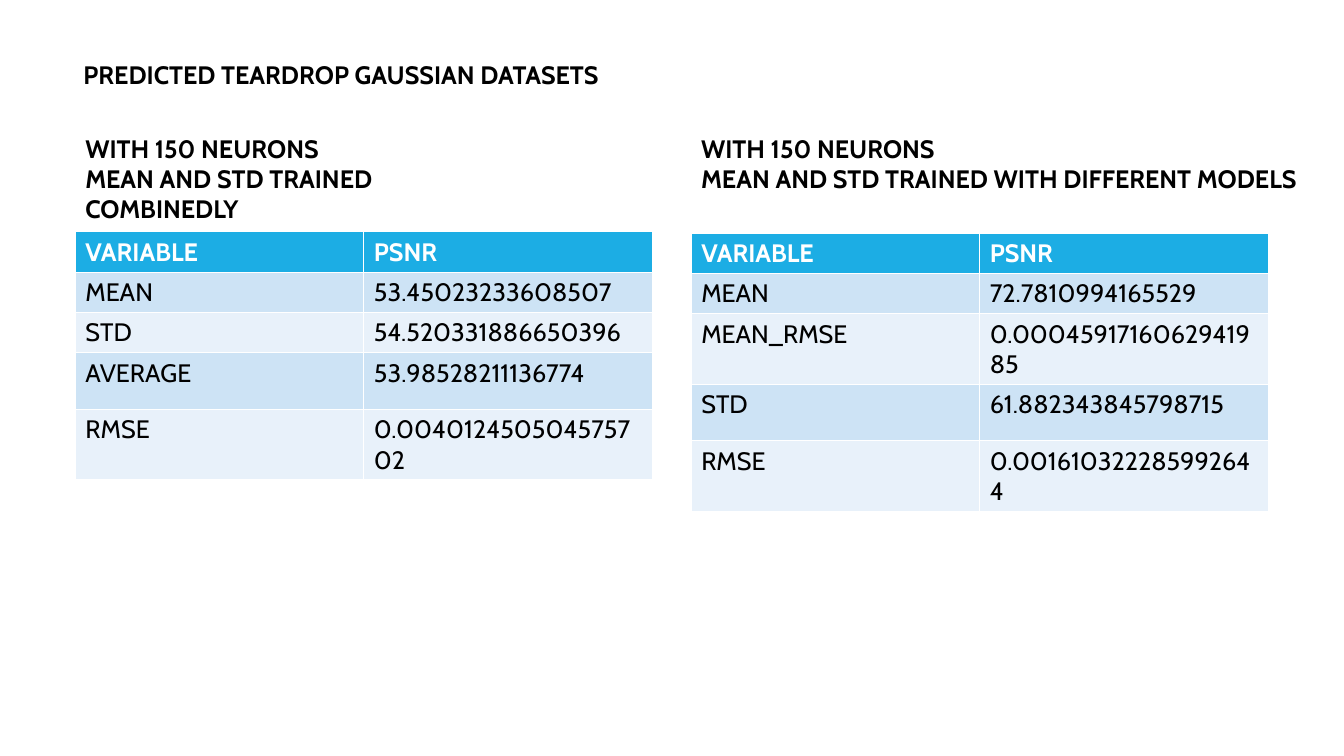
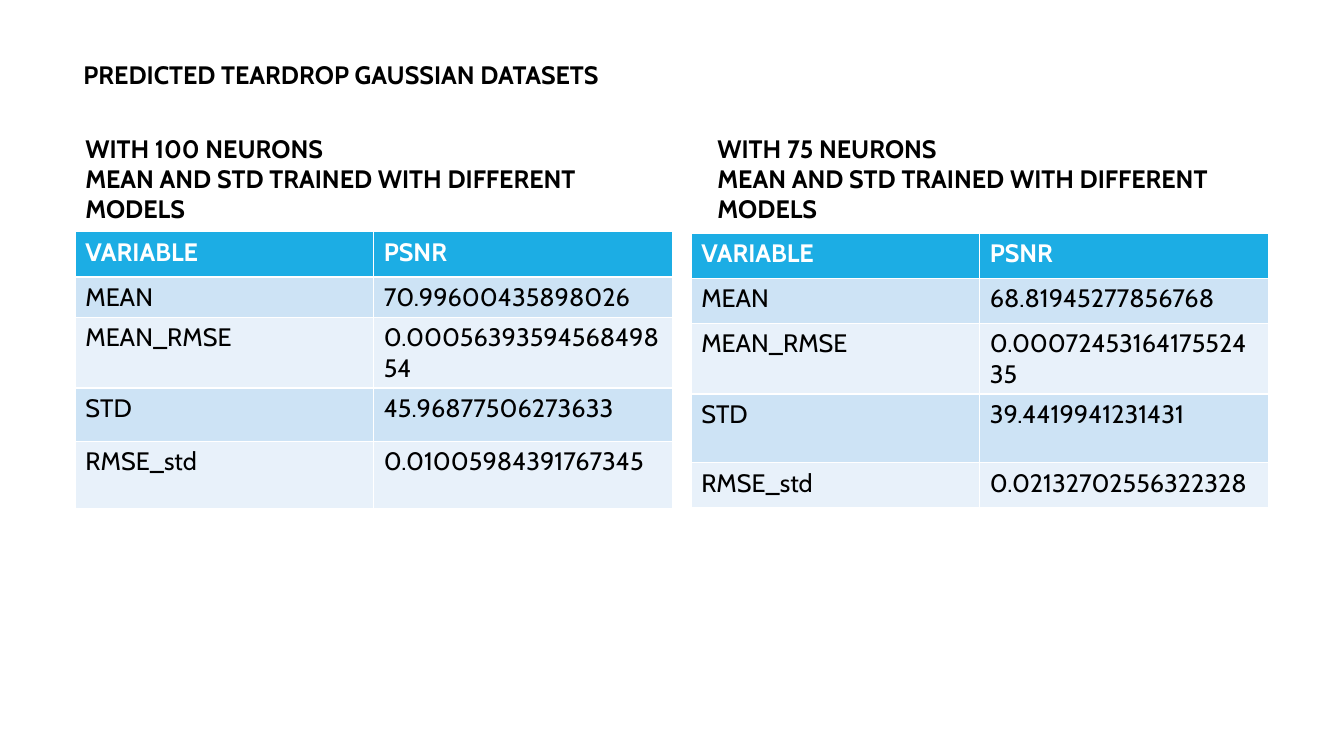
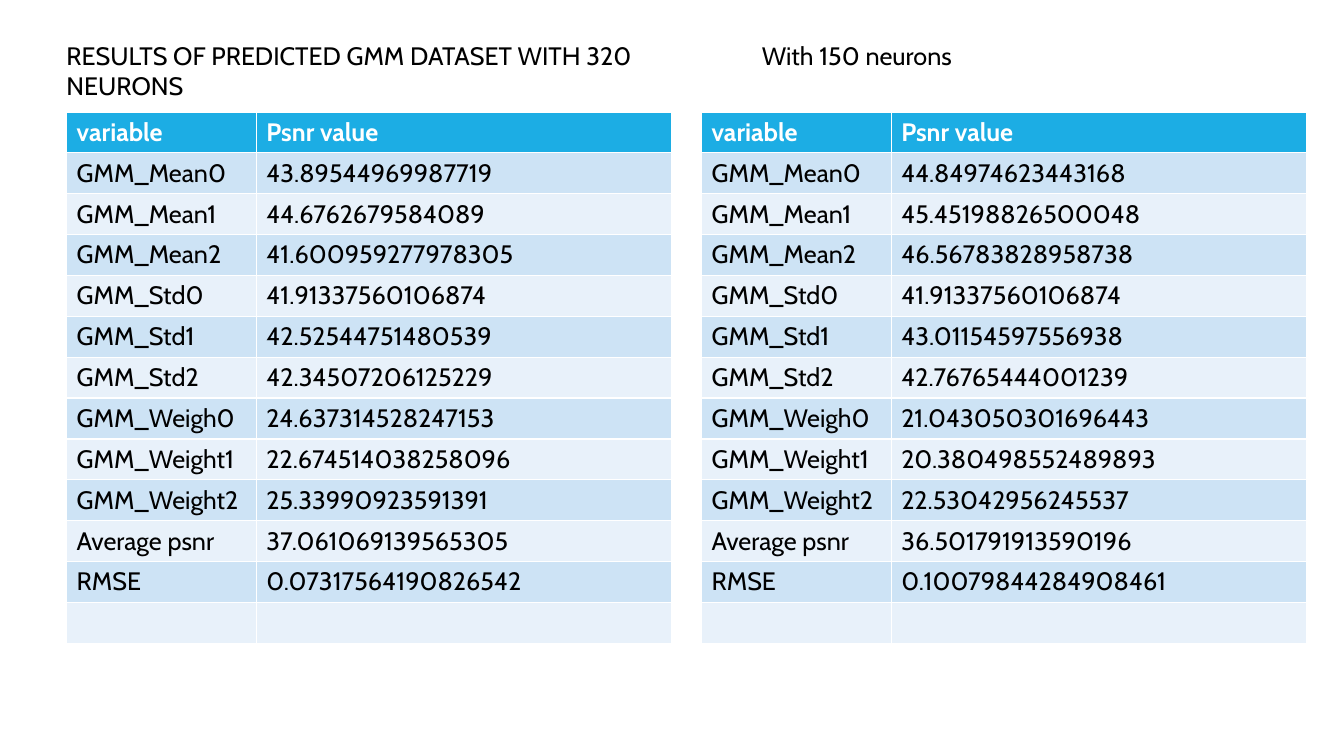
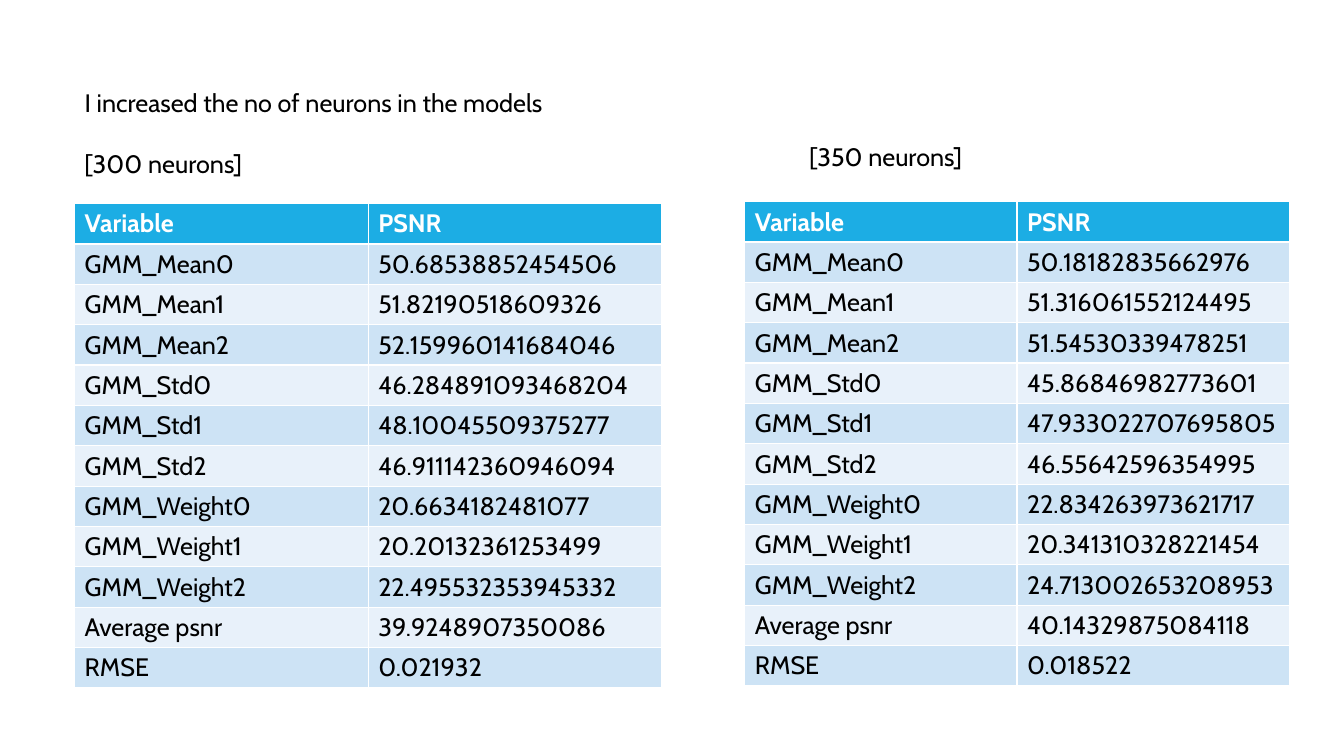
from dataclasses import dataclass

from pptx import Presentation
from pptx.dml.color import RGBColor
from pptx.enum.text import MSO_ANCHOR, MSO_AUTO_SIZE, PP_ALIGN
from pptx.util import Cm, Pt

TOP, LEFT, FIXED = MSO_ANCHOR.TOP, PP_ALIGN.LEFT, MSO_AUTO_SIZE.NONE


@dataclass(frozen=True)
class Theme:
    font: str = "Cabin"
    size: int = 18
    ink: str = "000000"
    white: str = "FFFFFF"
    head: str = "1CADE4"
    bands: tuple = ("CDE3F5", "E8F1FA")


THEME = Theme()

# Content: lengths in cm, boxes as left, top, width
TEAR = "PREDICTED TEARDROP GAUSSIAN DATASETS"
TEAR_BOX = (1.85, 1.37, 16.6)
SPLIT = "MEAN AND STD TRAINED WITH DIFFERENT MODELS"
UPPER = ("VARIABLE", "PSNR")
LOWER = ("variable", "Psnr value")
MIXED = ("Variable", "PSNR")
MEANS = ["MEAN", "MEAN_RMSE", "STD"]
STATS = [f"GMM_{kind}{n}" for kind in ("Mean", "Std", "Weight") for n in range(3)]
STATS += ["Average psnr", "RMSE"]
TYPOS = [name.replace("Weight0", "Weigh0") for name in STATS] + [""]

SLIDES = [
    dict(title=TEAR, box=TEAR_BOX, bold=True, parts=[
        dict(note=["WITH 150 NEURONS", "MEAN AND STD TRAINED COMBINEDLY"],
             box=(1.9, 3.23, 11.2), at=(1.9, 5.84), cols=(7.27, 7.27),
             rows=(0.86, 0.86, 0.86, 1.42, 0.86), head=UPPER,
             names=["MEAN", "STD", "AVERAGE", "RMSE"],
             values=["53.45023233608507", "54.520331886650396",
                     "53.98528211136774", "0.004012450504575702"]),
        dict(note=["WITH 150 NEURONS", SPLIT],
             box=(17.42, 3.23, 15.7), at=(17.42, 5.87), cols=(7.27, 7.27),
             rows=(0.86, 0.86, 0.86, 1.42, 0.86), head=UPPER,
             names=MEANS + ["RMSE"],
             values=["72.7810994165529", "0.0004591716062941985",
                     "61.882343845798715", "0.001610322285992644"]),
    ]),
    dict(title=TEAR, box=TEAR_BOX, bold=True, parts=[
        dict(note=["WITH 100 NEURONS", SPLIT],
             box=(1.9, 3.23, 14.9), at=(1.9, 5.84), cols=(7.52, 7.52),
             rows=(1.14, 0.97, 0.97, 1.35, 1.68), head=UPPER,
             names=MEANS + ["RMSE_std"],
             values=["70.99600435898026", "0.0005639359456849854",
                     "45.96877506273633", "0.01005984391767345"]),
        dict(note=["WITH 75 NEURONS", SPLIT],
             box=(17.83, 3.23, 14.55), at=(17.42, 5.87), cols=(7.27, 7.27),
             rows=(1.14, 1.14, 1.14, 1.73, 1.14), head=UPPER,
             names=MEANS + ["RMSE_std"],
             values=["68.81945277856768", "0.0007245316417552435",
                     "39.4419941231431", "0.02132702556322328"]),
    ]),
    dict(title="RESULTS OF PREDICTED GMM DATASET WITH 320 NEURONS",
         box=(1.42, 0.89, 17.12), bold=False, parts=[
        dict(at=(1.68, 2.82), cols=(4.78, 10.46), rows=(1.03,) * 13,
             head=LOWER, names=TYPOS,
             values=["43.89544969987719", "44.6762679584089",
                     "41.600959277978305", "41.91337560106874",
                     "42.52544751480539", "42.34507206125229",
                     "24.637314528247153", "22.674514038258096",
                     "25.33990923591391", "37.061069139565305",
                     "0.07317564190826542", ""]),
        dict(note=["With 150 neurons"], box=(18.95, 0.89, 10.6),
             at=(17.68, 2.82), cols=(4.78, 10.46), rows=(1.03,) * 13,
             head=LOWER, names=TYPOS,
             values=["44.84974623443168", "45.45198826500048",
                     "46.56783828958738", "41.91337560106874",
                     "43.01154597556938", "42.76765444001239",
                     "21.043050301696443", "20.380498552489893",
                     "22.53042956245537", "36.501791913590196",
                     "0.10079844284908461", ""]),
    ]),
    dict(title="I increased the no of neurons in the models",
         box=(1.88, 2.08, 26.6), bold=False, parts=[
        dict(note=["[300 neurons]"], box=(1.88, 3.61, 16.4),
             at=(1.88, 5.13), cols=(7.4, 7.4), rows=(0.95,) * 12,
             head=MIXED, names=STATS,
             values=["50.68538852454506", "51.82190518609326",
                     "52.159960141684046", "46.284891093468204",
                     "48.10045509375277", "46.911142360946094",
                     "20.6634182481077", "20.20132361253499",
                     "22.495532353945332", "39.9248907350086", "0.021932"]),
        dict(note=["[350 neurons]"], box=(20.14, 3.43, 11.28),
             at=(18.77, 5.08), cols=(6.86, 6.86), rows=(0.95,) * 12,
             head=MIXED, names=STATS,
             values=["50.18182835662976", "51.316061552124495",
                     "51.54530339478251", "45.86846982773601",
                     "47.933022707695805", "46.55642596354995",
                     "22.834263973621717", "20.341310328221454",
                     "24.713002653208953", "40.14329875084118", "0.018522"]),
    ]),
]


def write(frame, *lines, bold=False, color=THEME.ink):
    """Fill a text frame, one paragraph a line."""
    frame.word_wrap = True
    for i, line in enumerate(lines):
        para = frame.add_paragraph() if i else frame.paragraphs[0]
        para.alignment = LEFT
        run = para.add_run()
        run.text = line
        font = run.font
        font.name, font.size, font.bold = THEME.font, Pt(THEME.size), bold
        font.color.rgb = RGBColor.from_string(color)


def add_title(slide, text, box, bold):
    title = slide.shapes.title
    title.left, title.top, title.width = map(Cm, box)
    title.height = Cm(1.02)
    frame = title.text_frame
    frame.vertical_anchor, frame.auto_size = TOP, FIXED
    write(frame, text, bold=bold)


def add_note(slide, lines, box, bold):
    left, top, width = map(Cm, box)
    note = slide.shapes.add_textbox(left, top, width, Cm(0.25 + 0.77 * len(lines)))
    write(note.text_frame, *lines, bold=bold)


def add_grid(slide, part):
    cols, rows = part["cols"], part["rows"]
    left, top = map(Cm, part["at"])
    grid = slide.shapes.add_table(len(rows), len(cols), left, top,
                                  Cm(sum(cols)), Cm(sum(rows))).table
    for col, width in zip(grid.columns, cols):
        col.width = Cm(width)
    cells = [part["head"], *zip(part["names"], part["values"])]
    for r, (height, texts) in enumerate(zip(rows, cells)):
        grid.rows[r].height = Cm(height)
        first = r == 0
        fill = THEME.head if first else THEME.bands[(r - 1) % 2]
        for c, text in enumerate(texts):
            cell = grid.cell(r, c)
            cell.fill.solid()
            cell.fill.fore_color.rgb = RGBColor.from_string(fill)
            if text:
                write(cell.text_frame, text, bold=first,
                      color=THEME.white if first else THEME.ink)


def main():
    deck = Presentation()
    deck.slide_width, deck.slide_height = Cm(33.87), Cm(19.05)
    layout = deck.slide_layouts.get_by_name("Title Only")
    for data in SLIDES:
        slide = deck.slides.add_slide(layout)
        add_title(slide, data["title"], data["box"], data["bold"])
        for part in data["parts"]:
            if "note" in part:
                add_note(slide, part["note"], part["box"], data["bold"])
            add_grid(slide, part)
    deck.save("out.pptx")


if __name__ == "__main__":
    main()
